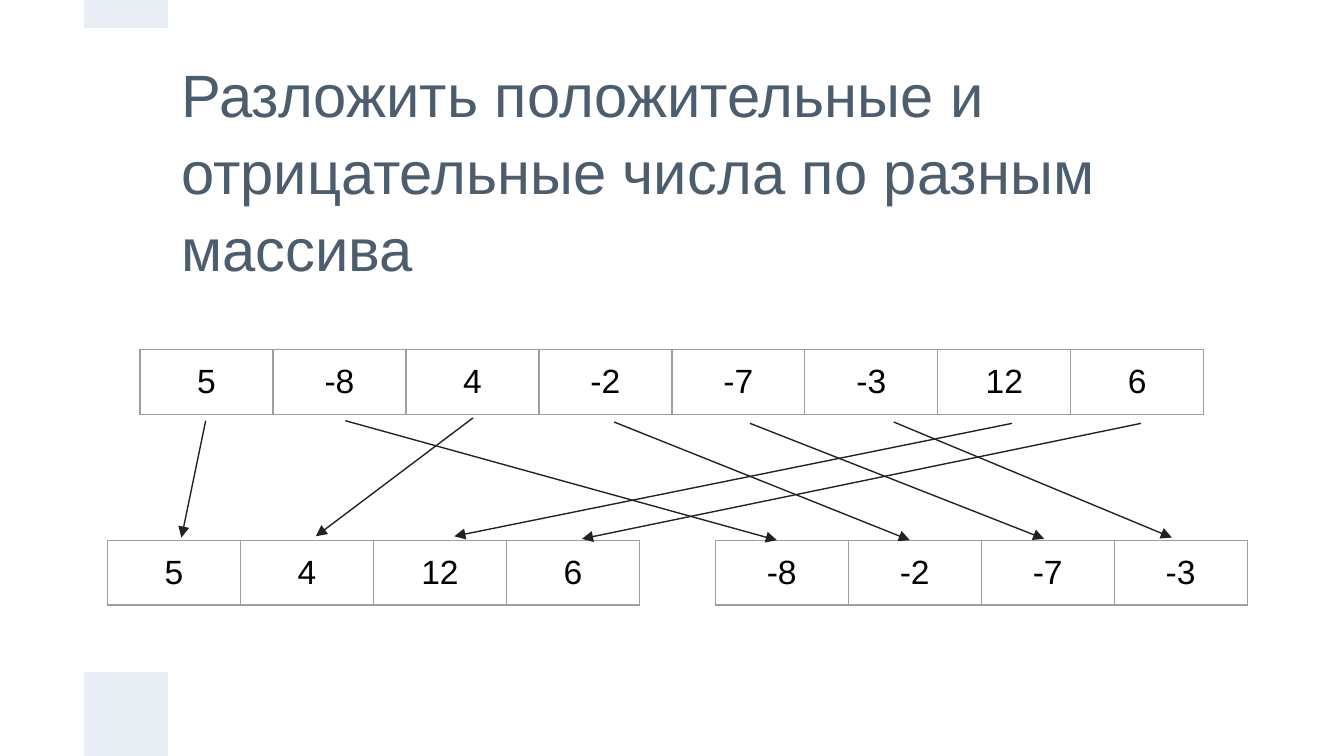
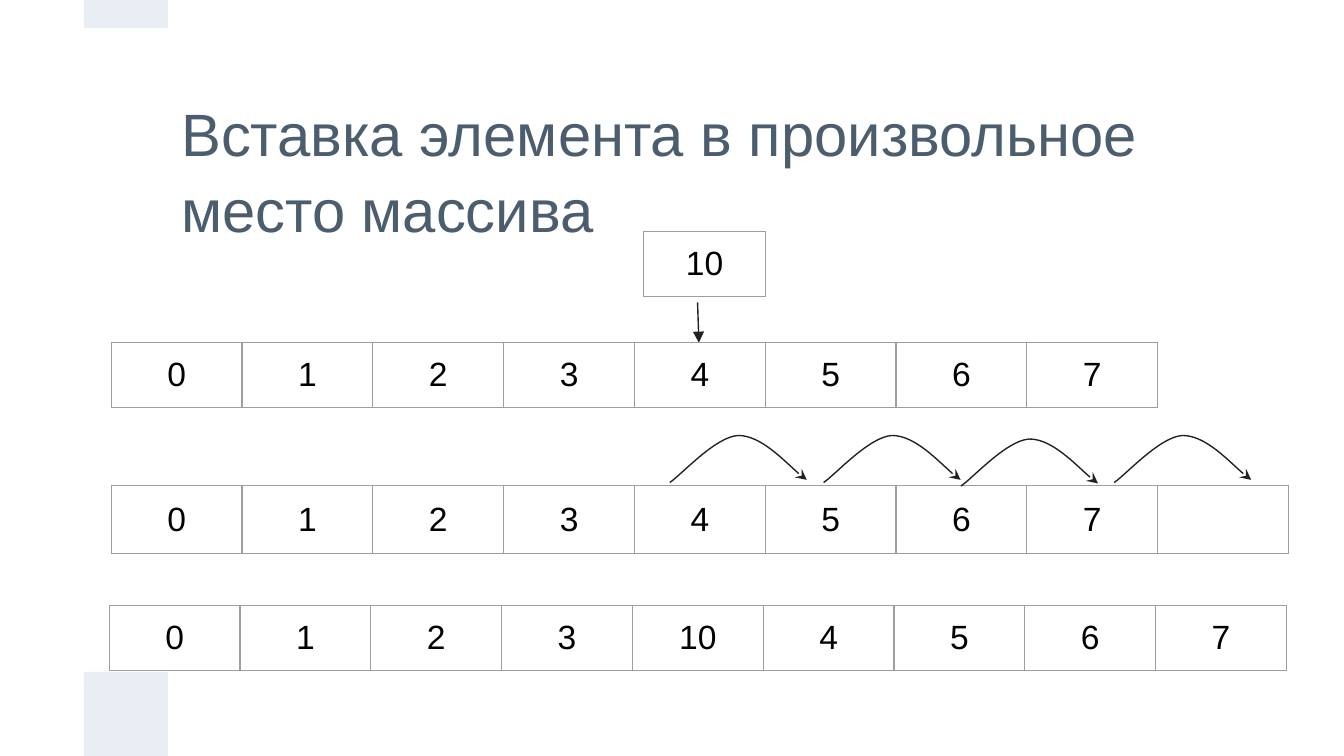
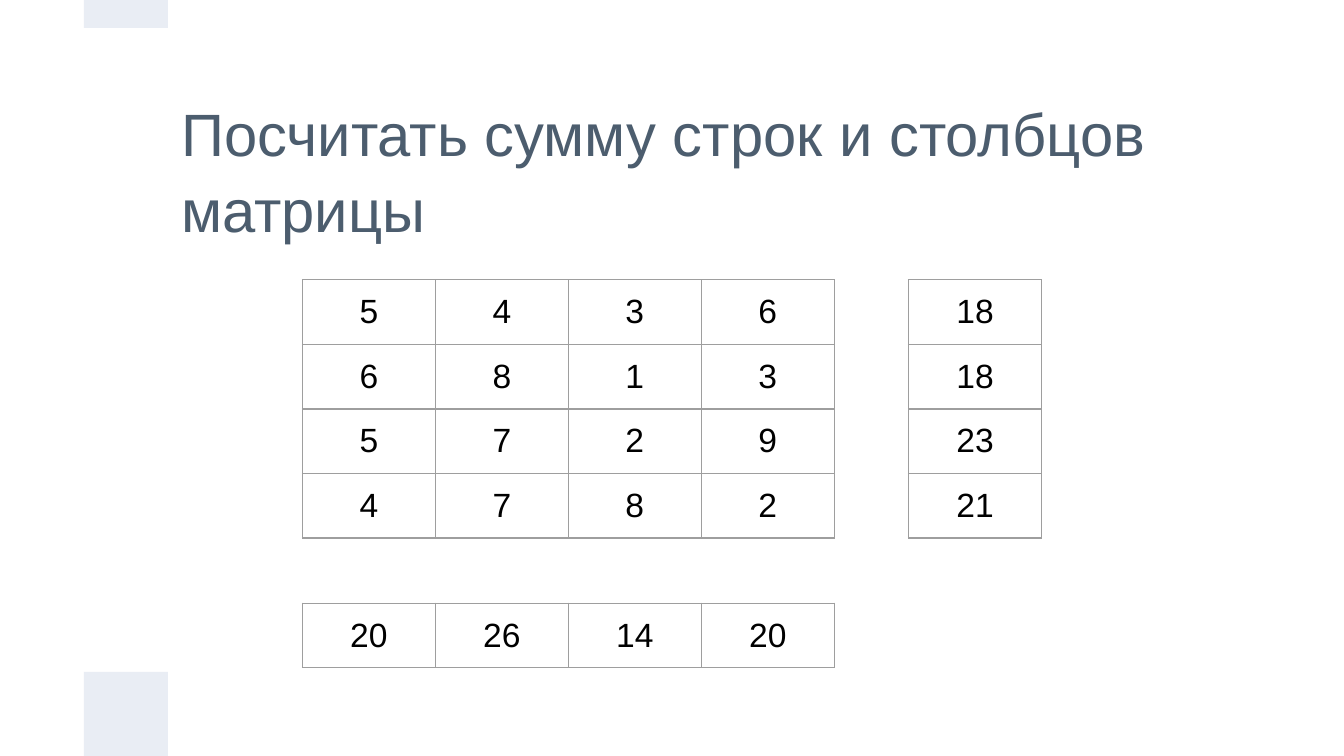
"""Build three slides on array and matrix exercises."""
import dataclasses
import pptx
import pptx.dml.color
import pptx.enum.shapes
import pptx.enum.text
import pptx.oxml.ns
import pptx.util
from lxml import etree

Pt = pptx.util.Pt
Color = pptx.dml.color.RGBColor
qn = pptx.oxml.ns.qn
MIDDLE = pptx.enum.text.MSO_ANCHOR.MIDDLE


@dataclasses.dataclass(frozen=True)
class Theme:
    font: str = "Arial"
    title_color: Color = Color(0x4C, 0x5D, 0x6E)
    band_color: Color = Color(0xE9, 0xED, 0xF4)
    cell_color: Color = Color(0, 0, 0)
    border_color: Color = Color(0x9E, 0x9E, 0x9E)
    arrow_color: Color = Color(0x22, 0x22, 0x22)
    title_size: float = 32
    cell_size: float = 18
    line_width: float = 0.75
    inset: float = 7.2
    row_height: float = 30.24


theme = Theme()


def add_grid(slide, left, top, column_width, rows):
    """Add a bordered table of centred values."""
    column_count = len(rows[0])
    frame = slide.shapes.add_table(
        len(rows), column_count, Pt(left), Pt(top),
        Pt(column_width * column_count), Pt(theme.row_height * len(rows)))
    table = frame.table
    table.first_row = table.horz_banding = False
    for column in table.columns:
        column.width = Pt(column_width)
    for row_index, values in enumerate(rows):
        table.rows[row_index].height = Pt(theme.row_height)
        for column_index, value in enumerate(values):
            cell = table.cell(row_index, column_index)
            cell.margin_left = cell.margin_right = Pt(theme.inset)
            cell.margin_top = cell.margin_bottom = Pt(theme.inset)
            cell.vertical_anchor = MIDDLE
            properties = cell._tc.get_or_add_tcPr()
            for side in ("lnL", "lnR", "lnT", "lnB"):
                border = etree.SubElement(properties, qn(f"a:{side}"), w=str(Pt(theme.line_width)))
                fill = etree.SubElement(border, qn("a:solidFill"))
                etree.SubElement(fill, qn("a:srgbClr"), val=str(theme.border_color))
            cell.fill.background()
            para = cell.text_frame.paragraphs[0]
            para.alignment = pptx.enum.text.PP_ALIGN.CENTER
            para.font.size = Pt(theme.cell_size)
            if value != "":
                span = para.add_run()
                span.text = str(value)
                span.font.name = theme.font
                span.font.size = Pt(theme.cell_size)
                span.font.color.rgb = theme.cell_color


def style_arrow(shape, head):
    """Give a line its colour, width and arrowhead, without a shadow."""
    shape.line.color.rgb = theme.arrow_color
    shape.line.width = Pt(theme.line_width)
    properties = shape.element.spPr
    etree.SubElement(properties.find(qn("a:ln")), qn("a:tailEnd"), type=head)
    etree.SubElement(properties, qn("a:effectLst"))


deck = pptx.Presentation()
deck.slide_width, deck.slide_height = Pt(720), Pt(405)
master = deck.slide_master
layout = deck.slide_layouts.get_by_name("Title Only")
for other in list(deck.slide_layouts):
    if other.name != layout.name:
        deck.slide_layouts.remove(other)
for holder in (master, layout):
    for placeholder in list(holder.placeholders):
        if placeholder.placeholder_format.type != pptx.enum.shapes.PP_PLACEHOLDER.TITLE:
            placeholder.element.getparent().remove(placeholder.element)
            continue
        placeholder.left, placeholder.top = Pt(90), Pt(45)
        placeholder.width, placeholder.height = Pt(540), Pt(90)
        box = placeholder.text_frame
        box.margin_left = box.margin_right = Pt(theme.inset)
        box.margin_top = box.margin_bottom = Pt(theme.inset)
        box.vertical_anchor = MIDDLE
        box.word_wrap = True
        box.auto_size = pptx.enum.text.MSO_AUTO_SIZE.NONE

slides = []
for title in (
    "Разложить положительные и отрицательные числа по разным массива",
    "Вставка элемента в произвольное место массива",
    "Посчитать сумму строк и столбцов матрицы",
):
    slide = deck.slides.add_slide(layout)
    para = slide.shapes.title.text_frame.paragraphs[0]
    para.alignment = pptx.enum.text.PP_ALIGN.LEFT
    para.line_spacing = 1.07
    span = para.add_run()
    span.text = title
    span.font.name = theme.font
    span.font.size = Pt(theme.title_size)
    span.font.color.rgb = theme.title_color
    slides.append(slide)
split_slide, insert_slide, sums_slide = slides

master_tree = master.shapes.title.element.getparent() if hasattr(master.shapes, "title") else master.element.cSld.spTree
for band_id, (top, height) in enumerate(((360, 45), (0, 15)), start=101):
    band = split_slide.shapes.add_shape(
        pptx.enum.shapes.MSO_SHAPE.RECTANGLE, Pt(45), Pt(top), Pt(45), Pt(height))
    band.shadow.inherit = False
    band.fill.solid()
    band.fill.fore_color.rgb = theme.band_color
    band.line.fill.background()
    band.element.nvSpPr.cNvPr.set("id", str(band_id))
    master_tree.insert(2, band.element)

numbers = [5, -8, 4, -2, -7, -3, 12, 6]
add_grid(split_slide, 75, 187.4, 71.25, [numbers])
add_grid(split_slide, 57.6, 289.5, 71.25, [[n for n in numbers if n > 0]])
add_grid(split_slide, 383.2, 289.5, 71.25, [[n for n in numbers if n < 0]])
split_arrows = [
    (110.2, 225.4, 97.2, 288), (185, 225.4, 416.2, 289.4),
    (253.4, 223.9, 169.2, 287.3), (329, 226.1, 487.4, 289.4),
    (401.8, 226.8, 559.4, 288.7), (478.8, 226.1, 627.8, 288),
    (542.2, 226.8, 243.4, 287.3), (611.3, 226.8, 311.8, 288.7),
]
insert_arrows = [(373.7, 162, 374.4, 183.6)]
for slide, arrows in ((split_slide, split_arrows), (insert_slide, insert_arrows)):
    for ends in arrows:
        arrow = slide.shapes.add_connector(
            pptx.enum.shapes.MSO_CONNECTOR.STRAIGHT, *(Pt(end) for end in ends))
        style_arrow(arrow, "triangle")

items = list(range(8))
add_grid(insert_slide, 59.6, 183.6, 70.1, [items])
add_grid(insert_slide, 344.7, 124.2, 65.5, [[10]])
add_grid(insert_slide, 59.6, 260.1, 70.1, [items + [""]])
add_grid(insert_slide, 58.5, 324.5, 70.1, [items[:4] + [10] + items[4:]])

arc = [(0, 25.2), (6.3, 21), (24.5, 0.6), (36.7, 0), (49, 0), (67.7, 20.2), (73.4, 23.8)]
for left, top in ((596.9, 233.3), (514.8, 235.2), (441.2, 233.3), (358.8, 233.3)):
    points = [(Pt(left + x), Pt(top + y)) for x, y in arc]
    builder = insert_slide.shapes.build_freeform(*points[0])
    builder.add_line_segments(points[1:], close=False)
    jump = builder.convert_to_shape()
    jump.fill.background()
    segments = list(jump.element.iter(qn("a:lnTo")))
    outline = segments[0].getparent()
    for start in range(0, len(segments), 3):
        curve = etree.SubElement(outline, qn("a:cubicBezTo"))
        for segment in segments[start:start + 3]:
            curve.append(segment[0])
            outline.remove(segment)
    style_arrow(jump, "stealth")

matrix = [[5, 4, 3, 6], [6, 8, 1, 3], [5, 7, 2, 9], [4, 7, 8, 2]]
add_grid(sums_slide, 162, 149.9, 71.25, matrix)
add_grid(sums_slide, 162, 323.2, 71.25, [[sum(column) for column in zip(*matrix)]])
add_grid(sums_slide, 486.7, 149.9, 71.25, [[sum(row)] for row in matrix])

deck.save("out.pptx")
